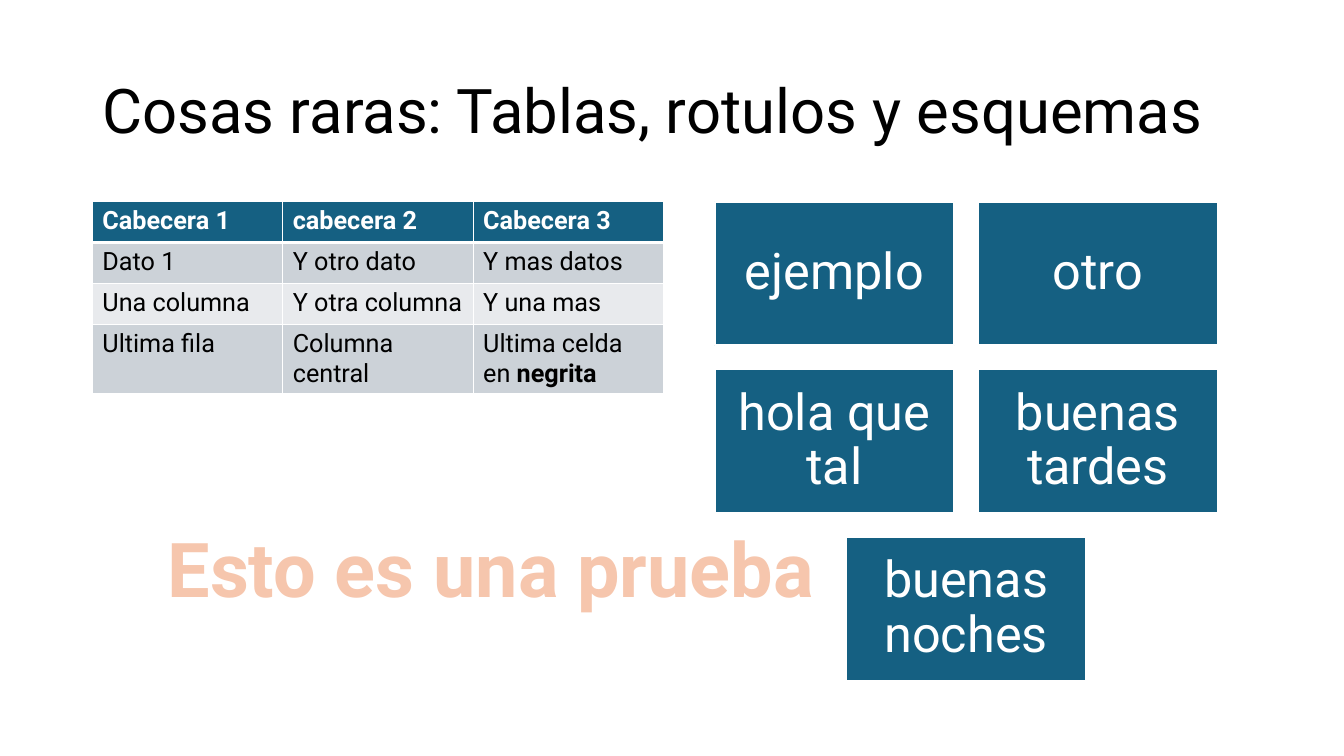
from lxml import etree
from pptx import Presentation
from pptx.dml import color
from pptx.enum import shapes, text
from pptx.oxml import ns
from pptx.util import Pt

FONT = "Roboto"
BLUE = "156082"
WHITE = "FFFFFF"
BLACK = "000000"
PEACH = "F6C6AD"
ORANGE = "E97132"
BANDS = ["CCD2D8", "E8EAED"]

TABLE_ROWS = [
    ["Cabecera 1", "cabecera 2", "Cabecera 3"],
    ["Dato 1", "Y otro dato", "Y mas datos"],
    ["Una columna", "Y otra columna", "Y una mas"],
    ["Ultima fila", "Columna central", "Ultima celda en "],
]
BLOCK_ROWS = [["ejemplo", "otro"], ["hola que tal", "buenas tardes"], ["buenas noches"]]


def rgb(value):
    return color.RGBColor.from_string(value)


def fill_solid(target, value):
    target.fill.solid()
    target.fill.fore_color.rgb = rgb(value)


def format_runs(paragraph, size, value, bold=False):
    for run in paragraph.runs:
        run.font.name = FONT
        run.font.size = Pt(size)
        run.font.bold = bold
        run.font.color.rgb = rgb(value)


def insert_line(properties, index, tag, width, value):
    line = etree.Element(ns.qn(f"a:{tag}"), w=str(Pt(width)))
    fill = etree.SubElement(line, ns.qn("a:solidFill"))
    etree.SubElement(fill, ns.qn("a:srgbClr"), val=value)
    properties.insert(index, line)


def set_borders(cell, top, bottom):
    properties = cell._tc.get_or_add_tcPr()
    widths = {"lnL": 1, "lnR": 1, "lnT": top, "lnB": bottom}
    for index, (tag, width) in enumerate(widths.items()):
        insert_line(properties, index, tag, width, WHITE)


def place_title(slide, left, top, width, height):
    title = slide.shapes.title
    title.left, title.top, title.width, title.height = Pt(left), Pt(top), Pt(width), Pt(height)
    frame = title.text_frame
    frame.text = "Cosas raras: Tablas, rotulos y esquemas"
    frame.word_wrap = True
    frame.auto_size = text.MSO_AUTO_SIZE.NONE
    frame.vertical_anchor = text.MSO_ANCHOR.MIDDLE
    paragraph = frame.paragraphs[0]
    paragraph.alignment = text.PP_ALIGN.LEFT
    paragraph.line_spacing = 0.9
    format_runs(paragraph, 44, BLACK)


def place_table(slide, left, top, width, row_height):
    row_count, column_count = len(TABLE_ROWS), len(TABLE_ROWS[0])
    table = slide.shapes.add_table(
        row_count, column_count, Pt(left), Pt(top), Pt(width), Pt(row_height * row_count)
    ).table
    for row, labels in enumerate(TABLE_ROWS):
        header = row == 0
        for column, label in enumerate(labels):
            cell = table.cell(row, column)
            cell.text_frame.text = label
            fill_solid(cell, BLUE if header else BANDS[(row - 1) % 2])
            set_borders(cell, 3 if row == 1 else 1, 3 if header else 1)
            format_runs(cell.text_frame.paragraphs[0], 18, WHITE if header else BLACK, header)
    last_paragraph = table.cell(row_count - 1, column_count - 1).text_frame.paragraphs[0]
    last_paragraph.add_run().text = "negrita"
    format_runs(last_paragraph, 18, BLACK)
    last_paragraph.runs[-1].font.bold = True


def place_block(slide, label, left, top, width, height):
    block = slide.shapes.add_shape(
        shapes.MSO_SHAPE.RECTANGLE, Pt(left), Pt(top), Pt(width), Pt(height)
    )
    block.shadow.inherit = False
    fill_solid(block, BLUE)
    block.line.color.rgb = rgb(WHITE)
    block.line.width = Pt(1.5)
    frame = block.text_frame
    frame.text = label
    frame.word_wrap = True
    frame.vertical_anchor = text.MSO_ANCHOR.MIDDLE
    frame.margin_left = frame.margin_right = frame.margin_top = frame.margin_bottom = Pt(10.8)
    paragraph = frame.paragraphs[0]
    paragraph.alignment = text.PP_ALIGN.CENTER
    paragraph.line_spacing = 0.9
    format_runs(paragraph, 36, WHITE)


def place_blocks(slide, left, top, width):
    block_width = width / 2.1
    block_height = block_width * 0.6
    gap = block_width * 0.1
    for row, labels in enumerate(BLOCK_ROWS):
        row_width = len(labels) * (block_width + gap) - gap
        row_left = left + (width - row_width) / 2
        row_top = top + row * (block_height + gap)
        for column, label in enumerate(labels):
            block_left = row_left + column * (block_width + gap)
            place_block(slide, label, block_left, row_top, block_width, block_height)


def place_word_art(slide, left, top, width, height):
    box = slide.shapes.add_textbox(Pt(left), Pt(top), Pt(width), Pt(height))
    frame = box.text_frame
    frame.text = "Esto es una prueba"
    frame.word_wrap = False
    frame.auto_size = text.MSO_AUTO_SIZE.SHAPE_TO_FIT_TEXT
    paragraph = frame.paragraphs[0]
    paragraph.alignment = text.PP_ALIGN.CENTER
    format_runs(paragraph, 54, PEACH, True)
    insert_line(paragraph.runs[0].font._element, 0, "ln", 1.75, ORANGE)


def build_slide(presentation):
    slide = presentation.slides.add_slide(presentation.slide_layouts[5])
    place_title(slide, 66, 28.75, 828, 104.4)
    place_table(slide, 66, 144, 408, 29.2)
    place_blocks(slide, 510.5, 144, 359.3)
    place_word_art(slide, 108, 369.4, 485.3, 72.7)


def main():
    presentation = Presentation()
    presentation.slide_width = Pt(960)
    presentation.slide_height = Pt(540)
    build_slide(presentation)
    presentation.save("out.pptx")


if __name__ == "__main__":
    main()
